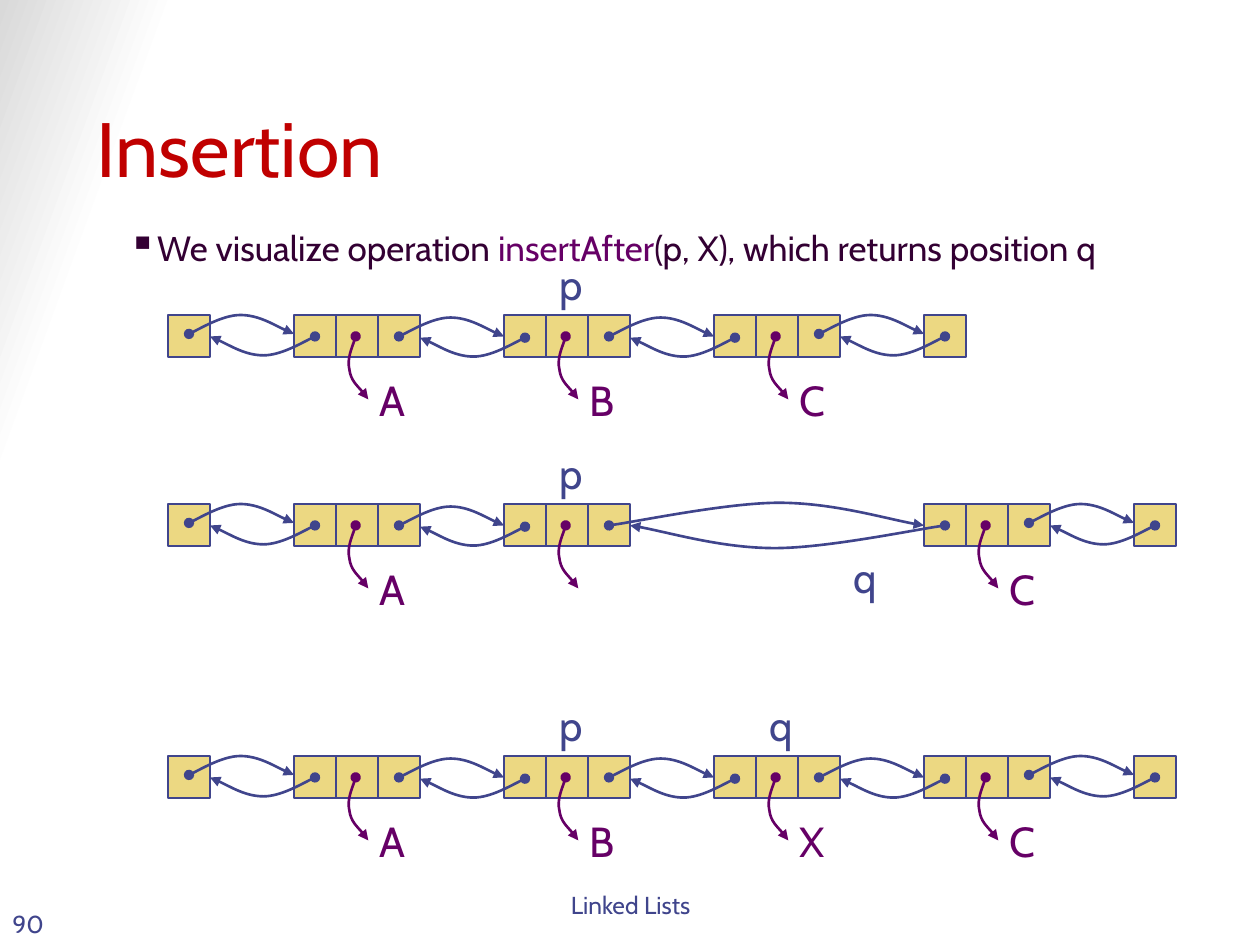
from lxml import etree
from pptx import Presentation
from pptx.dml.color import RGBColor
from pptx.enum.shapes import MSO_SHAPE
from pptx.enum.text import MSO_ANCHOR, PP_ALIGN
from pptx.oxml.ns import qn
from pptx.util import Inches, Pt

RECTANGLE = MSO_SHAPE.RECTANGLE
TOP, BOTTOM = MSO_ANCHOR.TOP, MSO_ANCHOR.BOTTOM
LEFT, CENTER = PP_ALIGN.LEFT, PP_ALIGN.CENTER

WHITE = RGBColor(0xFF, 0xFF, 0xFF)
GREY = RGBColor(0xD9, 0xD9, 0xD9)
RED = RGBColor(0xC0, 0x00, 0x00)
BLUE = RGBColor(0x40, 0x45, 0x8C)
PURPLE = RGBColor(0x66, 0x00, 0x66)
DARK_PURPLE = RGBColor(0x33, 0x00, 0x33)
SAND = RGBColor(0xEC, 0xD8, 0x82)

CELL = 1 / 3
PITCH = 5 * CELL
HEADER_LEFT = 4 * CELL
FIRST_NODE_LEFT = 7 * CELL

# Bezier nodes and handles as fractions of a link's width and height
SHORT_ARC = [(0, 0), (0.08, 0.2), (0.33, 1), (0.49, 1), (0.66, 1), (0.9, 0.2), (1, 0)]
LONG_ARC = [(0, 0), (0.09, 0.17), (0.38, 1), (0.54, 1), (0.71, 1), (0.91, 0.17), (1, 0)]
# The same in inches, from the middle of a node
POINTER = [(-0.01, 0), (-0.02, 0.04), (-0.08, 0.18), (-0.06, 0.26),
           (-0.05, 0.35), (0.06, 0.45), (0.09, 0.5)]

# top of the cells, letter by slot, slot of the trailer, position labels (text, left, top)
LISTS = [
    (2.5, {0: "A", 1: "B", 2: "C"}, 3, [("p", 4.33, 2)]),
    (4, {0: "A", 1: "", 3: "C"}, 4, [("p", 4.33, 3.5), ("q", 6.67, 4.33)]),
    (6, {0: "A", 1: "B", 2: "X", 3: "C"}, 4, [("p", 4.33, 5.5), ("q", 6, 5.5)]),
]

prs = Presentation()
prs.slide_width, prs.slide_height = Inches(10), Inches(7.5)
slide = prs.slides.add_slide(prs.slide_layouts[6])

background = slide.background.fill
background.gradient()
background.gradient_angle = 160
for stop, color, position in zip(background.gradient_stops, (WHITE, GREY), (0.89, 1)):
    stop.color.rgb = color
    stop.position = position


def add_text(box, runs, size, align=CENTER, anchor=TOP, wrap=True):
    """Write (text, colour) runs in a box of left, top, width, height; return the paragraph."""
    frame = slide.shapes.add_textbox(*map(Inches, box)).text_frame
    frame.word_wrap = wrap
    frame.vertical_anchor = anchor
    paragraph = frame.paragraphs[0]
    paragraph.alignment = align
    for text, color in runs:
        run = paragraph.add_run()
        run.text = text
        run.font.name = "Cabin"
        run.font.size = Pt(size)
        run.font.color.rgb = color
    return paragraph


def add_arrow(points, color):
    """Draw two joined Bezier curves: a start, then two handles and an end for each."""
    points = [(Inches(x), Inches(y)) for x, y in points]
    builder = slide.shapes.build_freeform(*points[0])
    builder.add_line_segments(points[1:], close=False)
    arrow = builder.convert_to_shape()
    arrow.shadow.inherit = False
    arrow.fill.background()
    arrow.line.color.rgb = color
    arrow.line.width = Pt(1.5)
    line = arrow.line._get_or_add_ln()
    etree.SubElement(line, qn("a:headEnd"), type="oval", w="med", len="med")
    etree.SubElement(line, qn("a:tailEnd"), type="triangle", w="med", len="med")
    outline = arrow._element.find(".//" + qn("a:path"))
    segments = outline.findall(qn("a:lnTo"))
    for first in range(0, len(segments), 3):
        curve = etree.SubElement(outline, qn("a:cubicBezTo"))
        for segment in segments[first:first + 3]:
            curve.append(segment[0])
            outline.remove(segment)


add_text((3.42, 6.95, 3.17, 0.4), [("Linked Lists", BLUE)], 14, anchor=BOTTOM)
add_text((0, 7, 0.58, 0.5), [("90", BLUE)], 14, LEFT, BOTTOM)
add_text((0.67, 0.33, 8.5, 1.25), [("Insertion", RED)], 44, LEFT, BOTTOM)
statement = add_text(
    (0.92, 1.75, 8.58, 0.67),
    [("We visualize operation ", DARK_PURPLE), ("insertAfter", PURPLE),
     ("(p, X), which returns position q", DARK_PURPLE)], 20, LEFT)
bullet = statement._p.get_or_add_pPr()
bullet.set("marL", "0")
bullet.set("indent", "0")
etree.SubElement(bullet, qn("a:buSzPct"), val="110000")
etree.SubElement(bullet, qn("a:buChar"), char="▪")

for top, letters, trailer_slot, positions in LISTS:
    node_lefts = [FIRST_NODE_LEFT + slot * PITCH for slot in letters]
    trailer_left = FIRST_NODE_LEFT + trailer_slot * PITCH
    cell_lefts = [left + i * CELL for left in node_lefts for i in range(3)]
    for left in [HEADER_LEFT, *cell_lefts, trailer_left]:
        cell = slide.shapes.add_shape(
            RECTANGLE, Inches(left), Inches(top), Inches(CELL), Inches(CELL))
        cell.shadow.inherit = False
        cell.fill.solid()
        cell.fill.fore_color.rgb = SAND
        cell.line.color.rgb = BLUE
        cell.line.width = Pt(1.5)

    right_edges = [HEADER_LEFT + CELL] + [left + 3 * CELL for left in node_lefts]
    left_edges = node_lefts + [trailer_left]
    for i, (right_edge, left_edge) in enumerate(zip(right_edges, left_edges)):
        width = left_edge - right_edge + CELL / 2
        is_long = width > 1
        at_end = i in (0, len(node_lefts))
        arc = LONG_ARC if is_long else SHORT_ARC
        height = 0.18 if is_long else 0.15
        next_y = top + (0.15 if at_end else 0.17)
        prev_y = top + (0.17 if at_end or is_long else 0.18)
        next_x = right_edge - CELL / 2
        prev_x = left_edge + CELL / 2
        add_arrow([(next_x + x * width, next_y - y * height) for x, y in arc], BLUE)
        add_arrow([(prev_x - x * width, prev_y + y * height) for x, y in arc], BLUE)

    for left, letter in zip(node_lefts, letters.values()):
        middle = left + 1.5 * CELL
        add_arrow([(middle + x, top + 0.17 + y) for x, y in POINTER], PURPLE)
        if letter:
            add_text((left + 0.58, top + 0.42, 0.4, 0.5), [(letter, PURPLE)], 24, wrap=False)

    for label, left, label_top in positions:
        add_text((left, label_top, 0.4, 0.5), [(label, BLUE)], 24, wrap=False)

prs.save("out.pptx")
